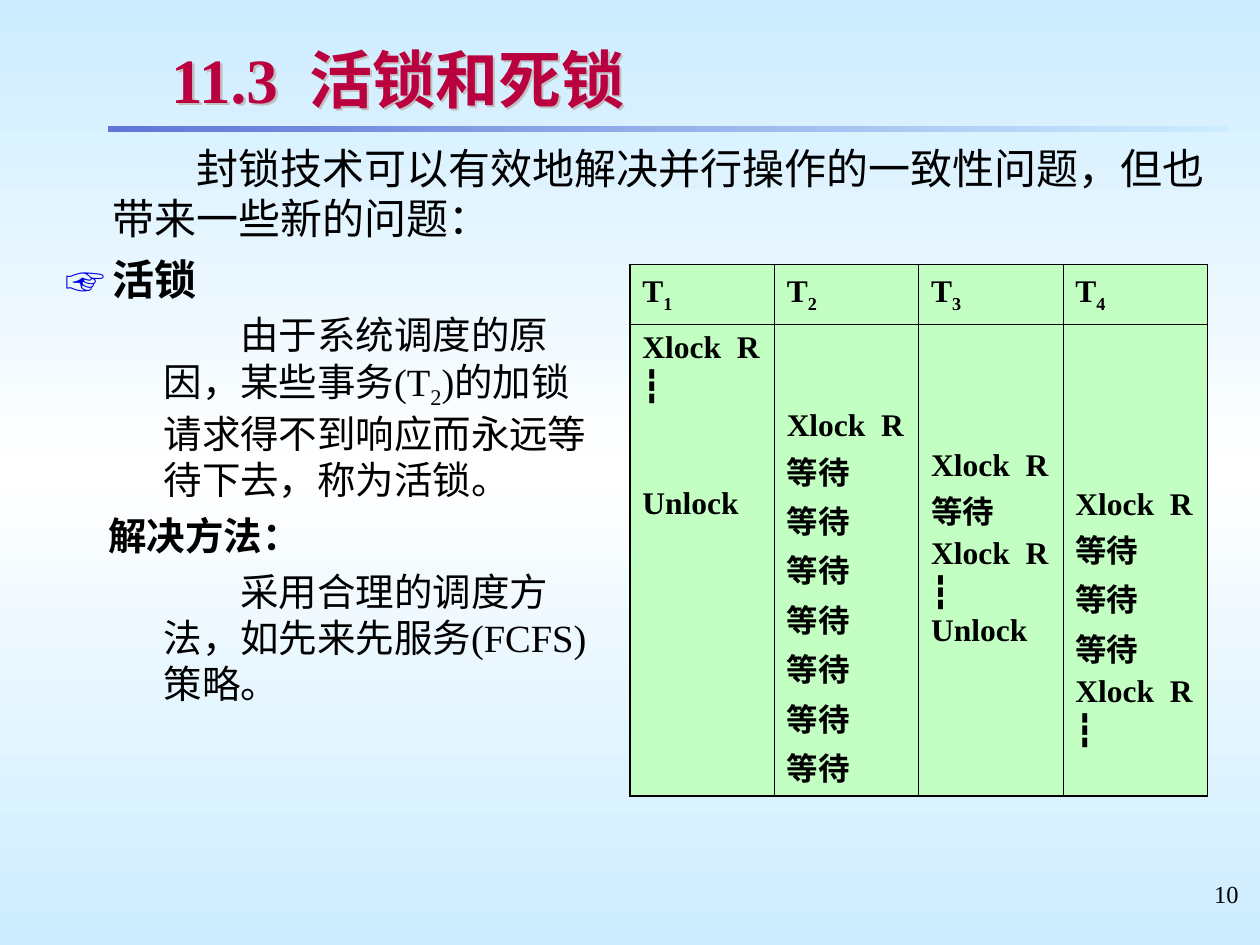
import pptx
import pptx.util
import pptx.dml.color
import pptx.enum.shapes
import pptx.enum.text
import pptx.oxml.ns
import lxml.etree

Cm = pptx.util.Cm
Pt = pptx.util.Pt
qn = pptx.oxml.ns.qn
ALIGN = pptx.enum.text.PP_ALIGN
ANCHOR = pptx.enum.text.MSO_ANCHOR

COLORS = {
    "sky": "CCECFF", "white": "FFFFFF", "rule": "5F76D7", "title": "BA003E",
    "text": "000000", "bullet": "0000E8", "cell": "C3FFC3", "shadow": "C0C0C0",
}
LATIN, EAST_ASIAN = "Times New Roman", "Noto Sans CJK SC"

INTRO = [
    {"runs": ["封锁技术可以有效地解决并行操作的一致性问题，但也带来一些新的问题："],
     "left": 0.95, "indent": 1.69},
    {"runs": ["活锁"], "left": 0.95, "indent": -0.95, "bold": True, "bullet": "☞"},
]
EXPLANATION = [
    {"runs": ["由于系统调度的原因，某些事务(T", ("2",), ")的加锁请求得不到响应而永远等待下去，称为活锁。"],
     "left": 2.06, "indent": 1.55},
    {"runs": ["解决方法："], "left": 0.95, "indent": 0, "bold": True},
    {"runs": ["采用合理的调度方法，如先来先服务(FCFS)策略。"], "left": 2.06, "indent": 1.55},
]
LOCK, WAIT, DOTS, UNLOCK = "Xlock  R", "等待", "┇", "Unlock"
SCHEDULE = [
    {"start": 0, "steps": [LOCK, DOTS, UNLOCK], "skipped": {2: 2}},
    {"start": 2, "steps": [LOCK] + [WAIT] * 7},
    {"start": 3, "steps": [LOCK, WAIT, LOCK, DOTS, UNLOCK]},
    {"start": 4, "steps": [LOCK] + [WAIT] * 3 + [LOCK, DOTS]},
]
COLUMN_WIDTH, ROW_HEIGHTS = 2.91, (1.2, 9.52)
STEP_SIZE, STEP_GAP, STEP_PITCH = 18, 2.2, 22.4
THIN, THICK = 0.45, 1.08


def color(name):
    return pptx.dml.color.RGBColor.from_string(COLORS[name])


def add_element(parent, tag, **attributes):
    return lxml.etree.SubElement(parent, qn(tag), attributes)


def set_gradient(fill, owner, names, angle):
    fill.gradient()
    fill.gradient_angle = angle
    stops = owner.find(".//" + qn("a:gsLst"))
    for stop in list(stops):
        stops.remove(stop)
    for index, name in enumerate(names):
        stop = add_element(stops, "a:gs", pos=str(100000 * index // (len(names) - 1)))
        add_element(stop, "a:srgbClr", val=COLORS[name])


def add_shadow(properties):
    effects = add_element(properties, "a:effectLst")
    outer = add_element(effects, "a:outerShdw", dist="25400", dir="2700000", algn="ctr")
    add_element(outer, "a:srgbClr", val=COLORS["shadow"])


def add_run(paragraph, text, size, bold=False, name="text", subscript=False):
    run = paragraph.add_run()
    run.text = text
    run.font.size = Pt(size)
    run.font.bold = bold
    run.font.color.rgb = color(name)
    run.font.name = LATIN
    properties = run.font._element
    add_element(properties, "a:ea", typeface=EAST_ASIAN)
    if subscript:
        properties.set("baseline", "-25000")


def add_text_box(slide, left, top, width, height, vertical_margin=0.13):
    shape = slide.shapes.add_textbox(Cm(left), Cm(top), Cm(width), Cm(height))
    frame = shape.text_frame
    frame.word_wrap = True
    frame.margin_left = frame.margin_right = Cm(0.25)
    frame.margin_top = frame.margin_bottom = Cm(vertical_margin)
    return shape


def next_paragraph(frame, index):
    return frame.add_paragraph() if index else frame.paragraphs[0]


def write_paragraphs(frame, items, size, gap):
    for index, item in enumerate(items):
        paragraph = next_paragraph(frame, index)
        paragraph.space_before = Pt(gap)
        properties = paragraph._p.get_or_add_pPr()
        properties.set("marL", str(Cm(item["left"])))
        properties.set("indent", str(Cm(item["indent"])))
        properties.set("hangingPunct", "0")
        if "bullet" in item:
            bullet_color = add_element(properties, "a:buClr")
            add_element(bullet_color, "a:srgbClr", val=COLORS["bullet"])
            add_element(properties, "a:buSzPct", val="95000")
            add_element(properties, "a:buFont", typeface=EAST_ASIAN)
            add_element(properties, "a:buChar", char=item["bullet"])
        for part in item["runs"]:
            subscript = isinstance(part, tuple)
            add_run(paragraph, part[0] if subscript else part, size,
                    item.get("bold", False), subscript=subscript)


def style_cell(cell, row, column):
    outer_sides = {"L": column == 0, "R": column == len(SCHEDULE) - 1,
                   "T": row == 0, "B": row == len(ROW_HEIGHTS) - 1}
    properties = cell._tc.get_or_add_tcPr()
    for side, outer in outer_sides.items():
        line = add_element(properties, "a:ln" + side, w=str(Pt(THICK if outer else THIN)))
        fill = add_element(line, "a:solidFill")
        add_element(fill, "a:srgbClr", val=COLORS["text"])
    cell.fill.solid()
    cell.fill.fore_color.rgb = color("cell")
    cell.margin_left = cell.margin_right = Cm(0.25)
    cell.margin_top = cell.margin_bottom = Cm(0.13)


def add_schedule(slide):
    columns = len(SCHEDULE)
    table = slide.shapes.add_table(
        len(ROW_HEIGHTS), columns, Cm(12.7), Cm(5.33),
        Cm(COLUMN_WIDTH * columns), Cm(sum(ROW_HEIGHTS))).table
    table.first_row = table.horz_banding = False
    for row, height in zip(table.rows, ROW_HEIGHTS):
        row.height = Cm(height)
    for column, transaction in enumerate(SCHEDULE):
        table.columns[column].width = Cm(COLUMN_WIDTH)
        header, body = table.cell(0, column), table.cell(1, column)
        style_cell(header, 0, column)
        style_cell(body, 1, column)
        header.vertical_anchor = ANCHOR.MIDDLE
        paragraph = header.text_frame.paragraphs[0]
        paragraph.space_before = Pt(3.4)
        add_run(paragraph, "T", STEP_SIZE, True)
        add_run(paragraph, str(column + 1), STEP_SIZE, True, subscript=True)
        body.margin_top = Cm(0.13) + Pt(STEP_PITCH * transaction["start"])
        for index, step in enumerate(transaction["steps"]):
            paragraph = next_paragraph(body.text_frame, index)
            skipped = transaction.get("skipped", {}).get(index, 0)
            paragraph.space_before = Pt(STEP_GAP + STEP_PITCH * skipped)
            add_run(paragraph, step, STEP_SIZE, step != DOTS)


def main():
    presentation = pptx.Presentation()
    presentation.slide_width, presentation.slide_height = Cm(25.4), Cm(19.05)
    slide = presentation.slides.add_slide(presentation.slide_layouts[6])
    set_gradient(slide.background.fill, slide.element, ["sky", "white", "sky"], 270)

    rule = slide.shapes.add_shape(pptx.enum.shapes.MSO_SHAPE.RECTANGLE,
                                  Cm(2.18), Cm(2.54), Cm(22.58), Cm(0.13))
    rule.shadow.inherit = False
    rule.line.fill.background()
    set_gradient(rule.fill, rule._element, ["rule", "sky"], 0)

    page_number = add_text_box(slide, 19.3, 17.6, 5.92, 1.32).text_frame.paragraphs[0]
    page_number.alignment = ALIGN.RIGHT
    add_run(page_number, "10", 14)

    title = add_text_box(slide, 3.2, 0.72, 20.93, 1.7, 0.1)
    title.text_frame.vertical_anchor = ANCHOR.MIDDLE
    add_shadow(title._element.spPr)
    add_run(title.text_frame.paragraphs[0], "11.3  活锁和死锁", 36, True, "title")

    intro = add_text_box(slide, 1.07, 2.74, 23.5, 3.61)
    write_paragraphs(intro.text_frame, INTRO, 24, 6)
    add_schedule(slide)
    explanation = add_text_box(slide, 0.99, 6.15, 11.23, 10.8)
    write_paragraphs(explanation.text_frame, EXPLANATION, 22, 5.5)
    presentation.save("out.pptx")


if __name__ == "__main__":
    main()
